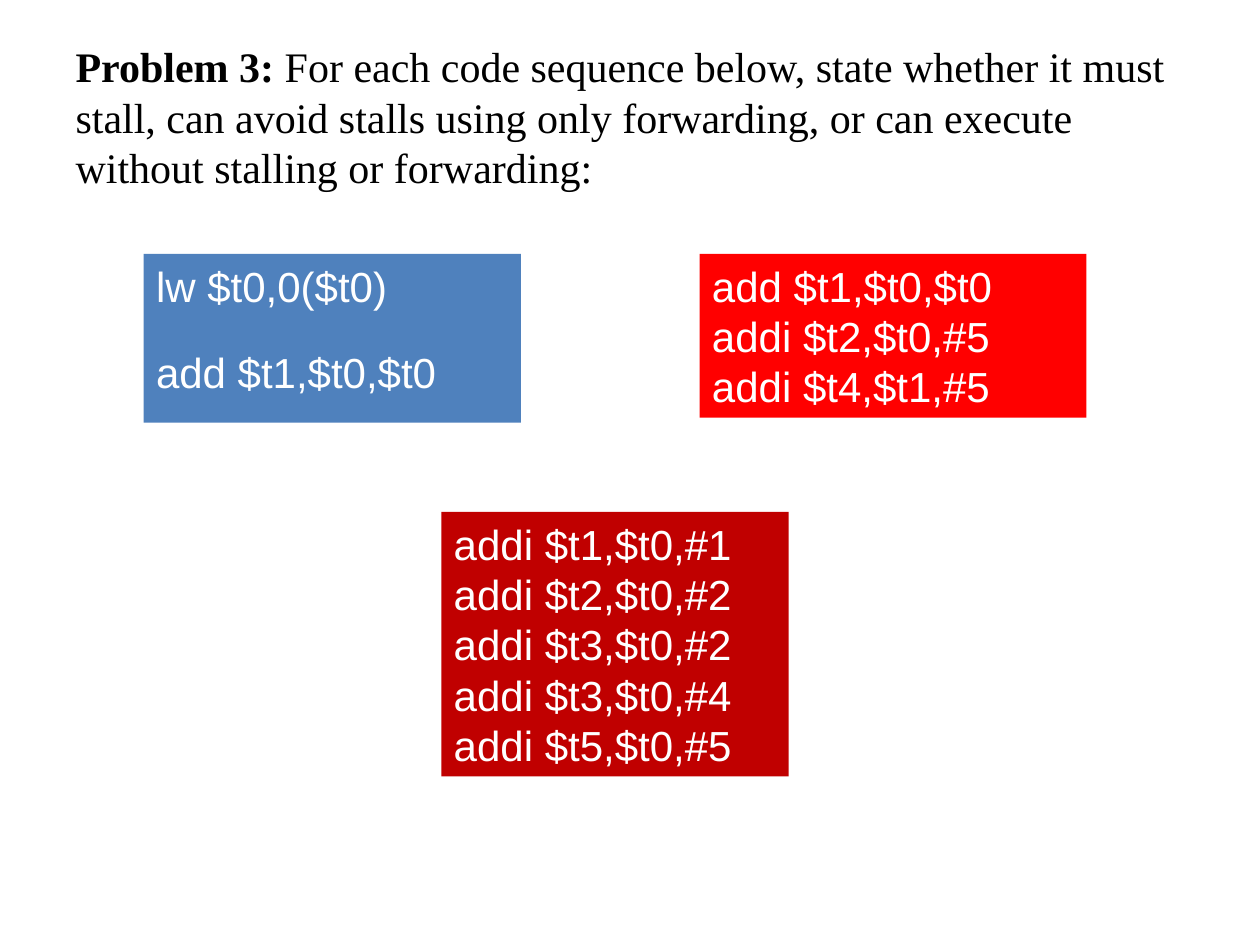
from pptx import Presentation
from pptx.dml.color import RGBColor
from pptx.enum.shapes import MSO_SHAPE
from pptx.enum.text import MSO_ANCHOR, PP_ALIGN
from pptx.util import Pt

RECT = MSO_SHAPE.RECTANGLE
TOP, MIDDLE = MSO_ANCHOR.TOP, MSO_ANCHOR.MIDDLE
LEFT = PP_ALIGN.LEFT
COLORS = {"text": "000000", "code": "FFFFFF", "blue": "4F81BD",
          "red": "FF0000", "dark_red": "C00000"}
LINE = Pt(28.8)


def add_run(p, text, font, color, bold=False):
    r = p.add_run()
    r.text = text
    r.font.name = font
    r.font.size = Pt(24)
    r.font.bold = bold
    r.font.color.rgb = RGBColor.from_string(COLORS[color])


prs = Presentation()
prs.slide_width, prs.slide_height = Pt(720), Pt(540)
s = prs.slides.add_slide(prs.slide_layouts[5])

# Problem statement
title = s.shapes.title
title.left, title.top, title.width, title.height = Pt(36), Pt(21.6), Pt(648), Pt(90)
tf = title.text_frame
tf.word_wrap = True
tf.vertical_anchor = MIDDLE
p = tf.paragraphs[0]
p.alignment = LEFT
p.line_spacing = LINE
add_run(p, "Problem 3:", "Times New Roman", "text", bold=True)
add_run(p, " For each code sequence below, state whether it must stall, "
           "can avoid stalls using only forwarding, or can execute "
           "without stalling or forwarding:", "Times New Roman", "text")

# Code sequences: left, top, width, height, fill, gap between lines, code
sequences = [
    (82.1, 145.1, 215.6, 96.5, "blue", 20.4,
     ["lw $t0,0($t0)", "add $t1,$t0,$t0"]),
    (399.8, 145.1, 221, 93.6, "red", 0,
     ["add $t1,$t0,$t0", "addi $t2,$t0,#5", "addi $t4,$t1,#5"]),
    (252.2, 292.5, 198.5, 151.2, "dark_red", 0,
     ["addi $t1,$t0,#1", "addi $t2,$t0,#2", "addi $t3,$t0,#2",
      "addi $t3,$t0,#4", "addi $t5,$t0,#5"]),
]
for left, top, width, height, fill, gap, code in sequences:
    sp = s.shapes.add_shape(RECT, Pt(left), Pt(top), Pt(width), Pt(height))
    sp.shadow.inherit = False
    sp.fill.solid()
    sp.fill.fore_color.rgb = RGBColor.from_string(COLORS[fill])
    sp.line.fill.background()
    tf = sp.text_frame
    tf.word_wrap = True
    tf.vertical_anchor = TOP
    for i, text in enumerate(code):
        p = tf.add_paragraph() if i else tf.paragraphs[0]
        p.alignment = LEFT
        p.line_spacing = LINE
        p.space_before = Pt(gap if i else 0)
        add_run(p, text, "Arial", "code")

prs.save("out.pptx")
